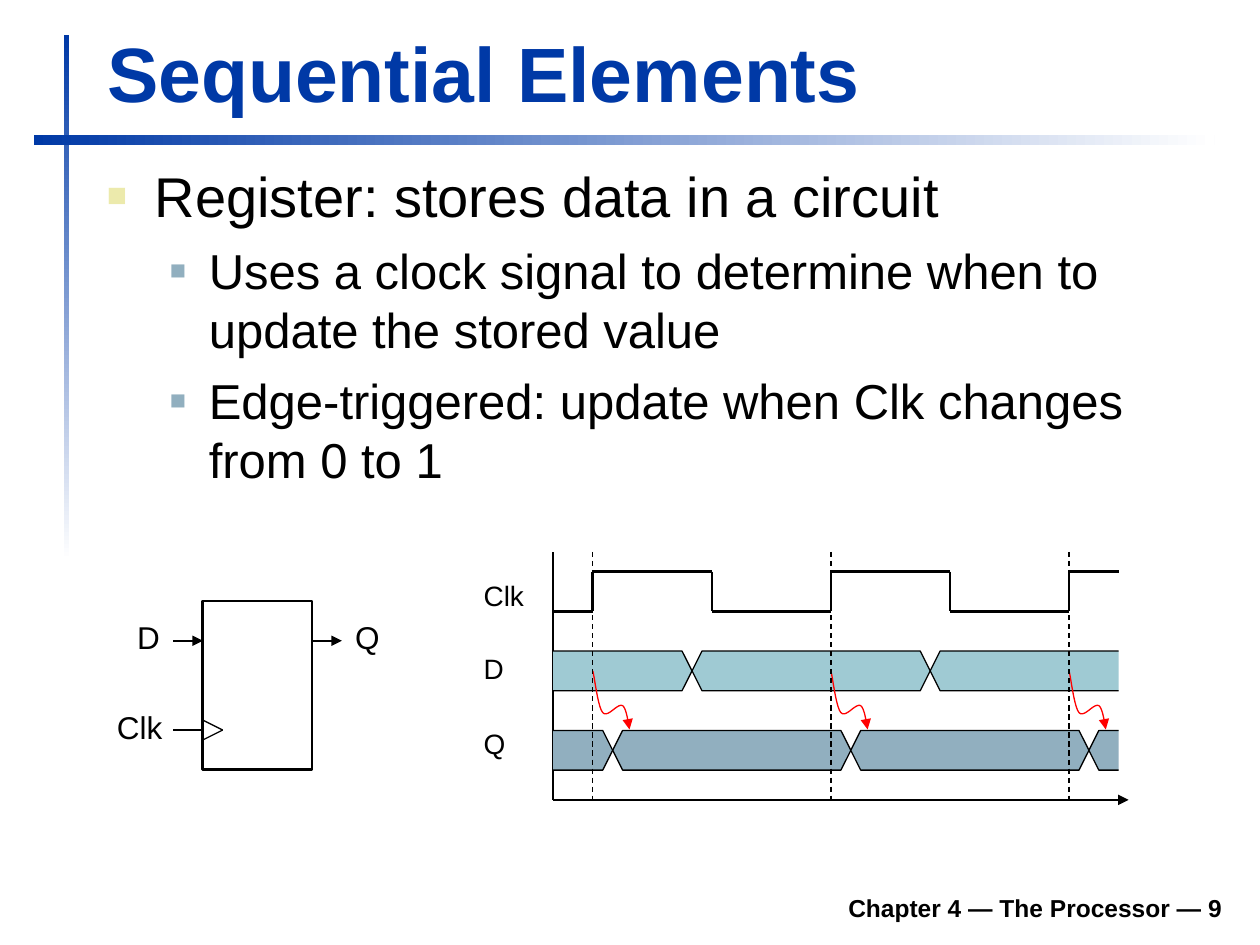
from dataclasses import dataclass
from itertools import pairwise
from typing import Optional

from lxml import etree
from pptx import Presentation
from pptx.dml.color import RGBColor
from pptx.enum.dml import MSO_LINE
from pptx.enum.shapes import MSO_CONNECTOR, MSO_SHAPE
from pptx.enum.text import MSO_ANCHOR, MSO_AUTO_SIZE, PP_ALIGN
from pptx.oxml.ns import qn
from pptx.util import Inches, Pt

RECT, STRAIGHT, DASH = MSO_SHAPE.RECTANGLE, MSO_CONNECTOR.STRAIGHT, MSO_LINE.DASH
LEFT, RIGHT = PP_ALIGN.LEFT, PP_ALIGN.RIGHT
TOP, BOTTOM, FIXED = MSO_ANCHOR.TOP, MSO_ANCHOR.BOTTOM, MSO_AUTO_SIZE.NONE
FONT = "Arial"
COLORS = {
    "ink": "000000", "blue": "0039A6", "white": "FFFFFF", "red": "FF0000",
    "sand": "ECEAAC", "steel": "91AFBF", "teal": "9FCAD3",
}


@dataclass
class Grid:
    """A square drawing grid: origin and unit in inches."""
    left: float
    top: float
    unit: float

    def at(self, col: float, row: float) -> tuple:
        return Inches(self.left + col * self.unit), Inches(self.top + row * self.unit)


@dataclass
class Label:
    text: str
    left: float
    top: float
    width: float
    size: int


@dataclass
class Bullet:
    text: str
    level: int
    size: int
    margin: float
    hang: float
    before: int
    color: str
    percent: int


@dataclass
class Bus:
    """A data signal: its top row and the columns where its value changes."""
    row: float
    crossings: tuple
    color: str


def rgb(name: str) -> RGBColor:
    return RGBColor.from_string(COLORS[name])


def style_text(p, size: float, color: str = "ink", bold: bool = False) -> None:
    for r in p.runs:
        r.font.name, r.font.size, r.font.bold = FONT, Pt(size), bold
        r.font.color.rgb = rgb(color)


def style_line(line, color: str, width: float, arrow: bool = False) -> None:
    line.color.rgb = rgb(color)
    line.width = Pt(width)
    if arrow:
        etree.SubElement(line._get_or_add_ln(), qn("a:tailEnd"), type="triangle")


def add_line(shapes, grid: Grid, start: tuple, end: tuple, width: float = 0.75,
             arrow: bool = False, dash: Optional[MSO_LINE] = None) -> None:
    sp = shapes.add_connector(STRAIGHT, *grid.at(*start), *grid.at(*end))
    etree.SubElement(sp._element.spPr, qn("a:effectLst"))
    sp.line.dash_style = dash
    # The effect list has to follow the line, so it is moved to the end.
    style_line(sp.line, "ink", width, arrow)
    sp._element.spPr.append(sp._element.spPr.find(qn("a:effectLst")))


def add_outline(shapes, grid: Grid, points: list, closed: bool = False,
                fill: Optional[str] = None, line: str = "ink", arrow: bool = False) -> None:
    first, *rest = [grid.at(*pt) for pt in points]
    builder = shapes.build_freeform(*first)
    builder.add_line_segments(rest, close=closed)
    sp = builder.convert_to_shape()
    sp.shadow.inherit = False
    if fill:
        sp.fill.solid()
        sp.fill.fore_color.rgb = rgb(fill)
    else:
        sp.fill.background()
    style_line(sp.line, line, 0.75, arrow)


def add_bar(shapes, box: tuple, angle: int) -> None:
    sp = shapes.add_shape(RECT, *map(Inches, box))
    sp.shadow.inherit = False
    sp.line.fill.background()
    sp.fill.gradient()
    sp.fill.gradient_angle = angle
    for stop, color in zip(sp.fill.gradient_stops, ("blue", "white")):
        stop.color.rgb = rgb(color)


def add_label(shapes, label: Label) -> None:
    height = label.size / 72 * 1.2 + 0.1
    box = (label.left, label.top, label.width, height)
    tf = shapes.add_textbox(*map(Inches, box)).text_frame
    tf.word_wrap = False
    tf.text = label.text
    style_text(tf.paragraphs[0], label.size)


def add_bullet(p, b: Bullet) -> None:
    p.text, p.level, p.space_before = b.text, b.level, Pt(b.before)
    style_text(p, b.size)
    pPr = p._p.get_or_add_pPr()
    pPr.set("marL", str(Inches(b.margin)))
    pPr.set("indent", str(-Inches(b.hang)))
    clr = etree.SubElement(pPr, qn("a:buClr"))
    etree.SubElement(clr, qn("a:srgbClr"), val=COLORS[b.color])
    etree.SubElement(pPr, qn("a:buSzPct"), val=str(b.percent * 1000))
    etree.SubElement(pPr, qn("a:buFont"), typeface=FONT)
    etree.SubElement(pPr, qn("a:buChar"), char="■")


def add_bus(shapes, grid: Grid, bus: Bus, end: float) -> None:
    top, mid, low = bus.row, bus.row + 1, bus.row + 2
    for a, b in pairwise((None, *bus.crossings, None)):
        left = [(0, low)] if a is None else [(a + 0.5, low), (a, mid), (a + 0.5, top)]
        right = [(end, top), (end, low)] if b is None else [
            (b - 0.5, top), (b, mid), (b - 0.5, low)]
        if a is None:
            points = [(0, top)] + right + left
        elif b is None:
            points = [right[0], *reversed(left), right[1]]
        else:
            points = left + right
        add_outline(shapes, grid, points, a is not None and b is not None, bus.color)


def curve(knots: list, steps: int = 10) -> list:
    """Points along joined cubic curves; each takes three further knots."""
    points = [knots[0]]
    for i in range(0, len(knots) - 1, 3):
        for t in (n / steps for n in range(1, steps + 1)):
            weights = ((1 - t) ** 3, 3 * t * (1 - t) ** 2, 3 * t * t * (1 - t), t ** 3)
            points.append(tuple(sum(w * k[axis] for w, k in zip(weights, knots[i:i + 4]))
                                for axis in (0, 1)))
    return points


prs = Presentation()
prs.slide_width, prs.slide_height = Inches(10), Inches(7.5)
slide = prs.slides.add_slide(prs.slide_layouts[5])
shapes = slide.shapes

# Title with its rules, and the footer
add_bar(shapes, (0.51, 0.28, 0.04, 4.17), 270)
add_bar(shapes, (0.27, 1.07, 9.37, 0.08), 0)
title = shapes.title
title.left, title.top, title.width, title.height = map(Inches, (0.75, 0.16, 9.03, 0.83))
footer = shapes.add_textbox(*map(Inches, (1.85, 6.98, 7.95, 0.39)))
for sp, text, size, color, align in (
        (title, "Sequential Elements", 44, "blue", LEFT),
        (footer, "Chapter 4 — The Processor — 9", 14, "ink", RIGHT)):
    tf = sp.text_frame
    tf.text, tf.word_wrap, tf.auto_size, tf.vertical_anchor = text, True, FIXED, BOTTOM
    tf.paragraphs[0].alignment = align
    style_text(tf.paragraphs[0], size, color, True)

# Bullets
SUB = (1, 28, 0.81, 0.31, 7, "steel", 55)
BULLETS = [
    Bullet("Register: stores data in a circuit", 0, 32, 0.38, 0.38, 8, "sand", 60),
    Bullet("Uses a clock signal to determine when to update the stored value", *SUB),
    Bullet("Edge-triggered: update when Clk changes from 0 to 1", *SUB),
]
tf = shapes.add_textbox(*map(Inches, (0.75, 1.23, 9.04, 3.02))).text_frame
tf.word_wrap, tf.vertical_anchor = True, TOP
for i, bullet in enumerate(BULLETS):
    add_bullet(tf.add_paragraph() if i else tf.paragraphs[0], bullet)

# Register symbol
reg = Grid(1.61, 4.77, 0.0788)
body = shapes.add_shape(RECT, *reg.at(0, 0), Inches(11 * reg.unit), Inches(17 * reg.unit))
body.shadow.inherit = False
body.fill.background()
style_line(body.line, "ink", 1.5)
for col in (-3, 11):
    add_line(shapes, reg, (col, 4), (col + 3, 4), 1, arrow=True)
add_line(shapes, reg, (-3, 13), (0, 13))
for row in (12, 14):
    add_line(shapes, reg, (0, row), (2, 13))

# Labels of the symbol and of the timing rows
for label in (Label("D", 0.99, 4.86, 0.38, 18), Label("Clk", 0.83, 5.57, 0.56, 18),
              Label("Q", 2.72, 4.86, 0.39, 18), Label("Clk", 3.74, 4.54, 0.52, 16),
              Label("D", 3.74, 5.12, 0.36, 16), Label("Q", 3.74, 5.72, 0.37, 16)):
    add_label(shapes, label)

# Timing diagram: clock, axes, buses, then the rising edges
timing = Grid(4.39, 4.38, 0.1575)
END, AXIS, EDGES, HALF = 28.5, 12.5, (2, 14, 26), 6
clock = [(0, 3)]
for edge in EDGES:
    clock += [(edge, 3), (edge, 1), (min(edge + HALF, END), 1)]
    if edge + HALF < END:
        clock.append((edge + HALF, 3))
for start, stop in pairwise(clock):
    add_line(shapes, timing, start, stop, 1.5)
add_line(shapes, timing, (0, AXIS), (END + 0.5, AXIS), arrow=True)
add_line(shapes, timing, (0, AXIS), (0, 0))
for bus in (Bus(5, (7, 19), "teal"), Bus(9, (3, 15, 27), "steel")):
    add_bus(shapes, timing, bus, END)
WAVE = [(0, 6), (0.1, 6.35), (0.25, 7.8), (0.5, 8.1), (0.75, 8.4), (1.25, 7.6),
        (1.5, 7.75), (1.7, 7.87), (1.8, 8.7), (1.85, 8.95)]
for edge in EDGES:
    add_outline(shapes, timing, [(edge + x, y) for x, y in curve(WAVE)],
                line="red", arrow=True)
for edge in EDGES:
    add_line(shapes, timing, (edge, 0), (edge, AXIS), dash=DASH)

prs.save("out.pptx")
